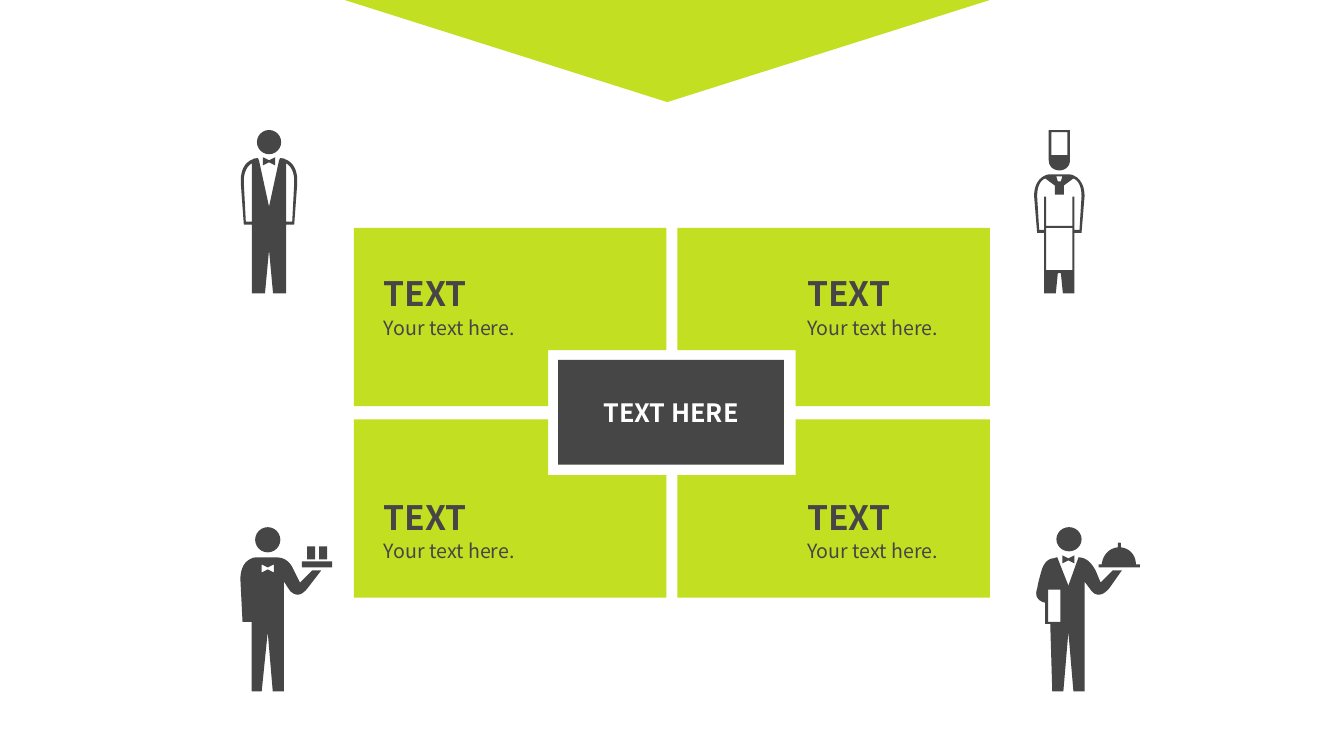
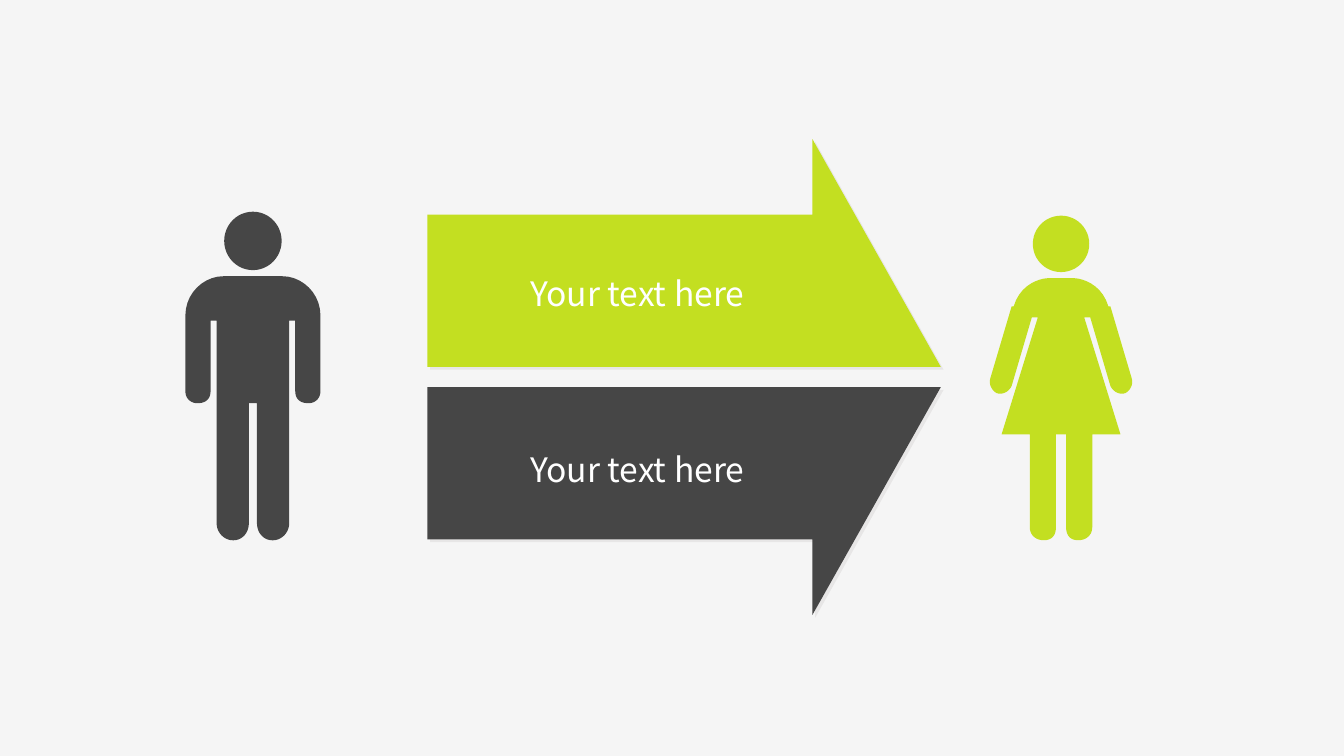
from dataclasses import dataclass
from itertools import product

from lxml import etree
from pptx import Presentation
from pptx.dml.color import RGBColor
from pptx.enum.shapes import MSO_SHAPE
from pptx.enum.text import MSO_ANCHOR, PP_ALIGN
from pptx.oxml.ns import qn
from pptx.util import Inches, Pt

RECT = MSO_SHAPE.RECTANGLE
OVAL = MSO_SHAPE.OVAL
TRIANGLE = MSO_SHAPE.ISOSCELES_TRIANGLE
MIDDLE = MSO_ANCHOR.MIDDLE
TOP = MSO_ANCHOR.TOP
LEFT = PP_ALIGN.LEFT
CENTER = PP_ALIGN.CENTER

W, H = Inches(13.333), Inches(7.5)
UNIT = H / 750
CURVE_STEPS = 10


@dataclass(frozen=True)
class Theme:
    font: str = "Noto Sans CJK SC"
    lime: str = "C3DF21"
    dark: str = "464646"
    white: str = "FFFFFF"
    pale: str = "F5F5F5"
    shadow: str = "E7E6E6"
    heading: int = 24
    label: int = 18
    body: int = 14


T = Theme()

WAITER = dict(
    head=(-12, 0, 24, 24),
    halves=[
        [(0, 76), (10, 30), (11, 28), (13, 28, 15, 28, 16, 29),
         (27, 33, 28, 45, 28, 50), (28, 53), (25, 94), (17, 94),
         (17, 162), (4, 162), (0, 119)],
        [(25, 53), (23, 91), (17, 91), (17, 33), (24, 37, 25, 46, 25, 50)],
        [(0, 30), (6, 27), (6, 35), (0, 32)],
    ],
)
CHEF = dict(
    halves=[
        [(0, 0), (10.5, 0), (10.5, 30), (10.5, 36, 6, 40, 0, 40)],
        [(0, 2), (8, 2), (8, 25), (0, 25)],
        [(0, 44), (7, 44), (10, 44, 12, 44, 14, 45), (26, 50, 25, 66, 25, 66),
         (22, 102), (15, 102), (15, 162), (3.5, 162), (1.5, 142), (0, 142)],
        [(0, 46), (3, 46), (1.5, 51), (0, 51)],
        [(0, 97), (13, 97), (13, 139), (0, 139)],
        [(0, 95), (13, 95), (13, 66), (15, 66), (15, 99), (20, 99), (22, 66),
         (22, 60, 21, 51, 14, 48), (4.5, 55), (4.5, 64), (0, 64)],
    ],
)
BARMAN = dict(
    head=(-12.5, 0, 25, 25),
    halves=[[(0, 40), (6, 37), (6, 45), (0, 42)]],
    outlines=[
        [(44, 43), (32, 55), (26, 43), (21, 31, 13, 30, 8, 30), (-8, 30),
         (-12, 30, -14, 30, -16, 31), (-29, 36, -27, 54, -27, 54), (-25, 94),
         (-16, 94), (-16, 163), (-6, 163), (0, 104), (5, 163), (16, 163),
         (16, 54), (22, 63), (22, 63, 25, 67, 30, 67),
         (35, 67, 40, 60, 40, 60), (53, 43)],
    ],
    rects=[(39, 19, 8, 13), (51, 19, 8, 13), (34, 34, 30, 6)],
)
BUTLER = dict(
    head=(-12, 0, 25, 24),
    halves=[[(0, 31), (6, 28), (6, 36), (0, 33)]],
    outlines=[
        [(32, 55), (27, 43), (21, 32, 15, 30, 10, 30), (0, 58), (-11, 30),
         (-13, 30, -14, 31, -16, 31), (-21, 32, -24, 36, -26, 41),
         (-30, 54, -31, 61, -31, 61), (-31, 61, -36, 72, -23, 75), (-23, 96),
         (-18, 96), (-16, 163), (-5, 163), (0, 104), (5, 163), (16, 163),
         (16, 54), (22, 62), (22, 62, 25, 67, 30, 67),
         (36, 67, 41, 60, 41, 60), (53, 43), (44, 43)],
        [(-20, 62), (-8, 62), (-8, 94), (-20, 94)],
        [(67, 37), (67, 28, 61, 21, 52, 20), (52, 16), (52, 15, 49, 15, 49, 16),
         (49, 20), (40, 21, 34, 28, 33, 37), (30, 37), (30, 40), (71, 40),
         (71, 37)],
    ],
)
MAN = dict(
    head=(-28.5, 0, 57, 58),
    halves=[
        [(0, 64), (29, 64), (49, 64, 67, 81, 67, 103), (67, 178),
         (67, 186, 61, 190, 55, 190), (47, 190, 42, 186, 42, 178), (42, 108),
         (36, 108), (36, 309), (36, 318, 29, 326, 19.5, 326),
         (10, 326, 4, 318, 4, 309), (4, 190), (0, 190)],
    ],
)
WOMAN = dict(
    head=(-28, 0, 56, 56),
    halves=[
        [(0, 62), (12, 62), (20, 62, 40, 67, 47, 90), (49, 90), (70, 161),
         (72, 167, 69, 173, 64, 176), (58, 178, 52, 175, 49, 169), (29, 101),
         (23, 101), (59, 217), (31, 217), (31, 309), (31, 317, 25, 322, 17, 322),
         (9, 322, 5, 317, 5, 309), (5, 217), (0, 217)],
    ],
)


def across(share):
    return round(W * share / 100)


def down(share):
    return round(H * share / 100)


def paint(sp, color):
    sp.shadow.inherit = False
    sp.fill.solid()
    sp.fill.fore_color.rgb = RGBColor.from_string(color)
    sp.line.fill.background()
    return sp


def add_preset(s, kind, box, color):
    return paint(s.shapes.add_shape(kind, *(round(v) for v in box)), color)


def add_outline(s, loops, color):
    first, *others = loops
    fb = s.shapes.build_freeform(*first[0], scale=1.0)
    fb.add_line_segments(first[1:], close=True)
    for loop in others:
        fb.move_to(*loop[0])
        fb.add_line_segments(loop[1:], close=True)
    return paint(fb.convert_to_shape(), color)


def add_shadow(sp, color):
    effects = sp._element.spPr.find(qn("a:effectLst"))
    outer = etree.SubElement(effects, qn("a:outerShdw"), blurRad="0",
                             dist=str(Pt(2.8)), dir="2700000", algn="tl")
    etree.SubElement(outer, qn("a:srgbClr"), val=color)


def write(tf, text, size=T.body, color=T.dark, bold=False, align=LEFT,
          anchor=TOP, wrap=True):
    tf.word_wrap = wrap
    tf.vertical_anchor = anchor
    p = tf.paragraphs[0]
    p.alignment = align
    r = p.add_run()
    r.text = text
    r.font.name = T.font
    r.font.size = Pt(size)
    r.font.bold = bold
    r.font.color.rgb = RGBColor.from_string(color)


def add_text(s, x, y, w, h, text, **fmt):
    sp = s.shapes.add_textbox(across(x), down(y), across(w), down(h))
    write(sp.text_frame, text, **fmt)


def flatten(path):
    pts = [path[0]]
    for seg in path[1:]:
        if len(seg) == 2:
            pts.append(seg)
            continue
        controls = (pts[-1], seg[:2], seg[2:4], seg[4:])
        for i in range(1, CURVE_STEPS + 1):
            t = i / CURVE_STEPS
            weights = ((1 - t) ** 3, 3 * t * (1 - t) ** 2,
                       3 * t * t * (1 - t), t ** 3)
            pts.append(tuple(sum(k * c[axis] for k, c in zip(weights, controls))
                             for axis in (0, 1)))
    return pts


def mirror(half):
    pts = flatten(half)
    other = [(-x, y) for x, y in reversed(pts) if x]
    return [pts + other] if half[0][0] == 0 else [pts, other]


def add_icon(s, x, y, color, head=None, halves=(), outlines=(), rects=()):
    left, top = across(x), down(y)

    def place(px, py):
        return round(left + px * UNIT), round(top + py * UNIT)

    loops = [flatten(path) for path in outlines]
    for half in halves:
        loops += mirror(half)
    add_outline(s, [[place(*pt) for pt in loop] for loop in loops], color)
    presets = [(RECT, box) for box in rects]
    if head:
        presets.append((OVAL, head))
    for kind, (px, py, w, h) in presets:
        add_preset(s, kind, (*place(px, py), w * UNIT, h * UNIT), color)


def add_card(s, col, row):
    x, y, w, h = (26.33, 50.4)[col], (30.13, 55.47)[row], 23.25, 23.6
    notch_w, notch_h = 8.8, 7.4
    outer_x, inner_x, dx = (x + w, x, -1) if col else (x, x + w, 1)
    outer_y, inner_y, dy = (y + h, y, -1) if row else (y, y + h, 1)
    cut_x, cut_y = inner_x - dx * notch_w, inner_y - dy * notch_h
    corners = [(outer_x, outer_y), (inner_x, outer_y), (inner_x, cut_y),
               (cut_x, cut_y), (cut_x, inner_y), (outer_x, inner_y)]
    add_outline(s, [[(across(px), down(py)) for px, py in corners]], T.lime)
    text_x, text_y = (27.83, 59.33)[col], (35.47, 65.07)[row]
    add_text(s, text_x, text_y + 5.6, 12.3, 4.53, "Your text here.")
    add_text(s, text_x, text_y, 10.13, 6.67, "TEXT", size=T.heading, bold=True)


def add_arrow(s, color, text_y, flipped=False):
    axis = 49.87
    corners = [(31.8, 28.4), (60.45, 28.4), (60.45, 18.4), (70, 48.53),
               (31.8, 48.53)]
    if flipped:
        corners = [(x, 2 * axis - y) for x, y in corners]
    sp = add_outline(s, [[(across(x), down(y)) for x, y in corners]], color)
    add_shadow(sp, T.shadow)
    add_text(s, 38.7, text_y, 24.45, 6.67, "Your text here",
             size=T.heading, color=T.white)


def add_slide(prs, color):
    s = prs.slides.add_slide(prs.slide_layouts[6])
    s.background.fill.solid()
    s.background.fill.fore_color.rgb = RGBColor.from_string(color)
    return s


def build_staff(prs):
    s = add_slide(prs, T.white)
    banner = add_preset(s, TRIANGLE, (across(25.65), 0, across(48), down(13.5)),
                        T.lime)
    banner.rotation = 180
    hub = add_preset(s, RECT, (across(41.53), down(47.6), across(16.8),
                               down(13.87)), T.dark)
    tf = hub.text_frame
    tf.margin_left = tf.margin_right = Inches(0.05)
    tf.margin_top = tf.margin_bottom = Inches(0.05)
    write(tf, "TEXT HERE", size=T.label, color=T.white, bold=True,
          align=CENTER, anchor=MIDDLE, wrap=False)
    for col, row in product(range(2), repeat=2):
        add_card(s, col, row)
    for x, y, icon in ((20.02, 17.2, WAITER), (78.82, 17.2, CHEF),
                       (19.92, 69.73, BARMAN), (79.5, 69.73, BUTLER)):
        add_icon(s, x, y, T.dark, **icon)


def build_people(prs):
    s = add_slide(prs, T.pale)
    add_arrow(s, T.lime, 35.47)
    add_arrow(s, T.dark, 58.67, flipped=True)
    add_icon(s, 18.82, 28, T.dark, **MAN)
    add_icon(s, 78.95, 28.53, T.lime, **WOMAN)


def main():
    prs = Presentation()
    prs.slide_width, prs.slide_height = W, H
    build_staff(prs)
    build_people(prs)
    prs.save("out.pptx")


if __name__ == "__main__":
    main()
